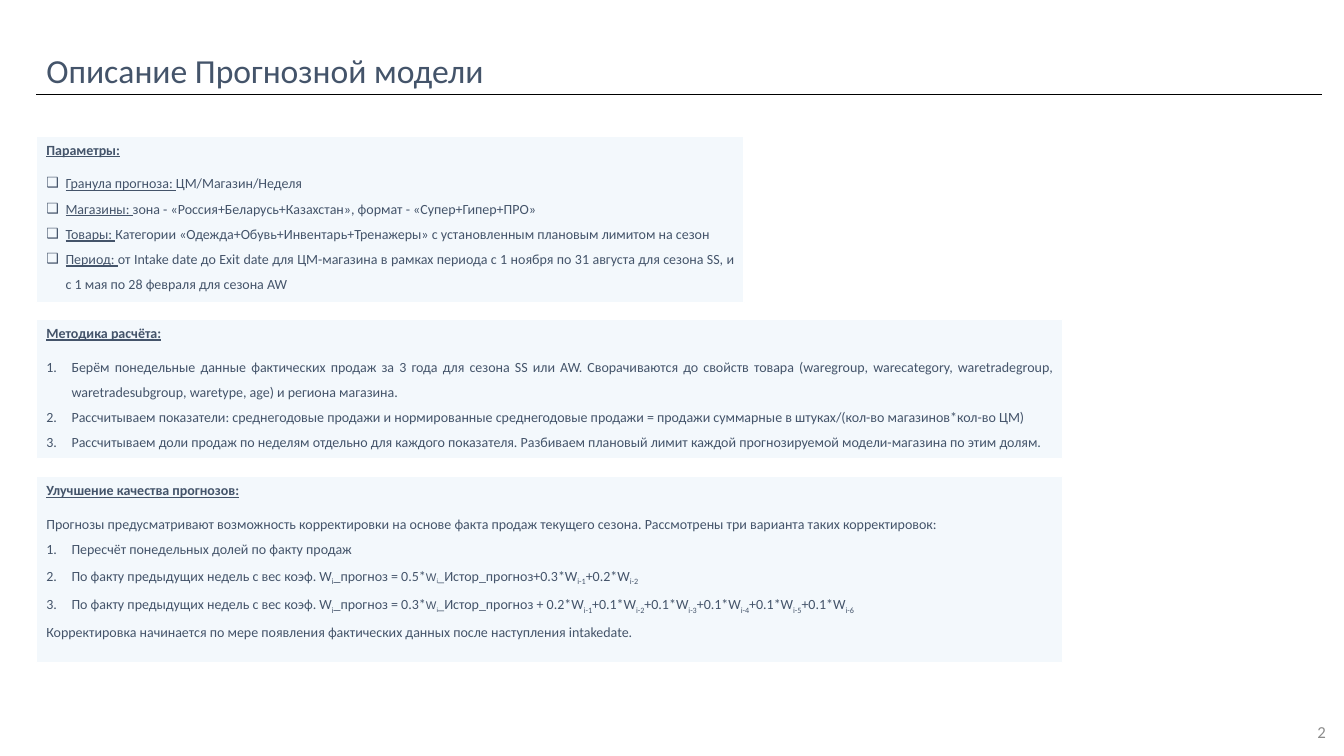
"""Build the slide that describes the forecasting model."""
from dataclasses import dataclass
from enum import Enum
from typing import NamedTuple

from lxml.etree import SubElement
from pptx import Presentation
from pptx.dml.color import RGBColor
from pptx.enum.shapes import MSO_CONNECTOR
from pptx.enum.text import MSO_ANCHOR, MSO_AUTO_SIZE, PP_ALIGN
from pptx.oxml.ns import qn
from pptx.shapes.placeholder import SlidePlaceholder
from pptx.slide import Slide
from pptx.text.text import TextFrame, _Paragraph as Paragraph
from pptx.util import Inches, Pt

SLATE = RGBColor(0x44, 0x54, 0x6A)
PALE_BLUE = RGBColor(0xDE, 0xEB, 0xF7)
GREY = RGBColor(0x8C, 0x8C, 0x8C)
WHITE = RGBColor(0xFF, 0xFF, 0xFF)
BLACK = RGBColor(0x00, 0x00, 0x00)
LEFT = 0.36
COMPARISON_LAYOUT = 4


class Marker(Enum):
    NONE = 0
    BOX = 0.19
    NUMBER = 0.25


class Piece(NamedTuple):
    text: str
    size: float = 10
    font: str = "Calibri"
    color: RGBColor = SLATE
    bold: bool = False
    underline: bool = False
    subscript: bool = False


class Item(NamedTuple):
    pieces: list[Piece]
    marker: Marker = Marker.NONE


@dataclass
class Panel:
    heading: str
    top: float
    width: float
    height: float
    items: list[Item]


def parameter(label: str, value: str) -> Item:
    """Return a boxed item with an underlined label."""
    return Item([Piece(label + ": ", underline=True), Piece(value)], Marker.BOX)


def numbered(text: str) -> Item:
    """Return a numbered item."""
    return Item([Piece(text)], Marker.NUMBER)


def correction(own_weight: str, history: str, lag_weights: list[str]) -> Item:
    """Return a numbered item with a weighted formula over earlier weeks."""
    pieces = [
        Piece("По факту предыдущих недель с вес коэф. W"),
        Piece("i", subscript=True),
        Piece(f"_прогноз = {own_weight}*"),
        Piece("W", 8, "Arial"),
        Piece("i", 8, "Arial", subscript=True),
        Piece("_", 8, "Arial"),
    ]
    prefix = history
    for lag, weight in enumerate(lag_weights, 1):
        pieces += [Piece(f"{prefix}{weight}*W"), Piece(f"i-{lag}", subscript=True)]
        prefix = "+"
    return Item(pieces, Marker.NUMBER)


PANELS = [
    Panel("Параметры:", 1.35, 7.02, 1.65, [
        parameter("Гранула прогноза", "ЦМ/Магазин/Неделя"),
        parameter("Магазины", "зона - «Россия+Беларусь+Казахстан», формат - «Супер+Гипер+ПРО»"),
        parameter("Товары", "Категории «Одежда+Обувь+Инвентарь+Тренажеры» "
                  "с установленным плановым лимитом на сезон"),
        parameter("Период", "от Intake date до Exit date для ЦМ-магазина в рамках периода "
                  "с 1 ноября по 31 августа для сезона SS, и с 1 мая по 28 февраля для сезона AW"),
    ]),
    Panel("Методика расчёта:", 3.17, 10.18, 1.38, [
        numbered("Берём понедельные данные фактических продаж за 3 года для сезона SS или AW. "
                 "Сворачиваются до свойств товара (waregroup, warecategory, waretradegroup, "
                 "waretradesubgroup, waretype, age) и региона магазина."),
        numbered("Рассчитываем показатели: среднегодовые продажи и нормированные среднегодовые "
                 "продажи = продажи суммарные в штуках/(кол-во магазинов*кол-во ЦМ)"),
        numbered("Рассчитываем доли продаж по неделям отдельно для каждого показателя. "
                 "Разбиваем плановый лимит каждой прогнозируемой модели-магазина по этим долям."),
    ]),
    Panel("Улучшение качества прогнозов:", 4.73, 10.18, 1.84, [
        Item([Piece("Прогнозы предусматривают возможность корректировки на основе факта продаж "
                    "текущего сезона. Рассмотрены три варианта таких корректировок:")]),
        numbered("Пересчёт понедельных долей по факту продаж"),
        correction("0.5", "Истор_прогноз+", ["0.3", "0.2"]),
        correction("0.3", "Истор_прогноз + ", ["0.2"] + ["0.1"] * 5),
        Item([Piece("Корректировка начинается по мере появления фактических данных "
                    "после наступления intakedate.")]),
    ]),
]


def add_piece(paragraph: Paragraph, piece: Piece) -> None:
    """Append one formatted run."""
    run = paragraph.add_run()
    run.text = piece.text
    run.font.size = Pt(piece.size)
    run.font.name = piece.font
    run.font.color.rgb = piece.color
    run.font.bold = piece.bold
    run.font.underline = piece.underline
    if piece.subscript:
        run.font._element.set("baseline", "-25000")


def set_marker(paragraph: Paragraph, marker: Marker) -> None:
    """Set the hanging indent and the bullet or number."""
    properties = paragraph._p.get_or_add_pPr()
    indent = Inches(marker.value)
    properties.set("marL", str(indent))
    properties.set("indent", str(-indent))
    if marker is Marker.BOX:
        SubElement(properties, qn("a:buFont"), typeface="Arial")
        SubElement(properties, qn("a:buChar"), char="❑")
    elif marker is Marker.NUMBER:
        SubElement(properties, qn("a:buFont"), typeface="+mj-lt")
        SubElement(properties, qn("a:buAutoNum"), type="arabicPeriod")
    else:
        SubElement(properties, qn("a:buNone"))


def set_frame(frame: TextFrame, anchor: MSO_ANCHOR) -> None:
    """Wrap the text at a fixed size and anchor it."""
    frame.word_wrap = True
    frame.auto_size = MSO_AUTO_SIZE.NONE
    frame.vertical_anchor = anchor


def place(shape: SlidePlaceholder, top: float, width: float, height: float) -> None:
    """Move a placeholder to the left margin and size it."""
    shape.left, shape.top = Inches(LEFT), Inches(top)
    shape.width, shape.height = Inches(width), Inches(height)


def fill_panel(body: SlidePlaceholder, panel: Panel) -> None:
    """Turn a body placeholder into a tinted panel with heading and items."""
    place(body, panel.top, panel.width, panel.height)
    body.fill.solid()
    body.fill.fore_color.rgb = PALE_BLUE
    tint = body._element.spPr.find(qn("a:solidFill"))[0]
    SubElement(tint, qn("a:alpha"), val="35000")
    body.line.color.rgb = WHITE
    body.line.width = Pt(1)
    set_frame(body.text_frame, MSO_ANCHOR.TOP)

    heading = body.text_frame.paragraphs[0]
    heading.alignment = PP_ALIGN.JUSTIFY
    heading.space_before = heading.space_after = Pt(6)
    set_marker(heading, Marker.NONE)
    add_piece(heading, Piece(panel.heading, bold=True, underline=True))
    for item in panel.items:
        paragraph = body.text_frame.add_paragraph()
        paragraph.alignment = PP_ALIGN.JUSTIFY
        paragraph.line_spacing = 1.5
        paragraph.space_before = paragraph.space_after = Pt(0)
        set_marker(paragraph, item.marker)
        for piece in item.pieces:
            add_piece(paragraph, piece)


def add_header(slide: Slide) -> None:
    """Draw the title and the rule under it."""
    rule = slide.shapes.add_connector(
        MSO_CONNECTOR.STRAIGHT, Inches(LEFT), Inches(0.94), Inches(13.11), Inches(0.94))
    rule.line.color.rgb = BLACK
    rule.line.width = Pt(0.5)
    SubElement(rule._element.spPr, qn("a:effectLst"))
    title = slide.shapes.title
    place(title, 0.44, 11.23, 0.91)
    set_frame(title.text_frame, MSO_ANCHOR.TOP)
    name = title.text_frame.paragraphs[0]
    name.alignment = PP_ALIGN.LEFT
    add_piece(name, Piece("Описание Прогнозной модели", 24))


def add_page_number(slide: Slide) -> None:
    """Write the page number in the bottom right corner."""
    corner = slide.shapes.add_textbox(Inches(10.92), Inches(7.06), Inches(2.33), Inches(0.4))
    set_frame(corner.text_frame, MSO_ANCHOR.MIDDLE)
    number = corner.text_frame.paragraphs[0]
    number.alignment = PP_ALIGN.RIGHT
    add_piece(number, Piece("2", 12, color=GREY))


def main() -> None:
    """Build and save the slide."""
    deck = Presentation()
    deck.slide_width, deck.slide_height = Inches(13.33), Inches(7.5)
    slide = deck.slides.add_slide(deck.slide_layouts[COMPARISON_LAYOUT])
    add_header(slide)
    _, *bodies = slide.placeholders
    for body, panel in zip(bodies, PANELS):
        fill_panel(body, panel)
    for unused in bodies[len(PANELS):]:
        unused._element.getparent().remove(unused._element)
    add_page_number(slide)
    deck.save("out.pptx")


if __name__ == "__main__":
    main()
